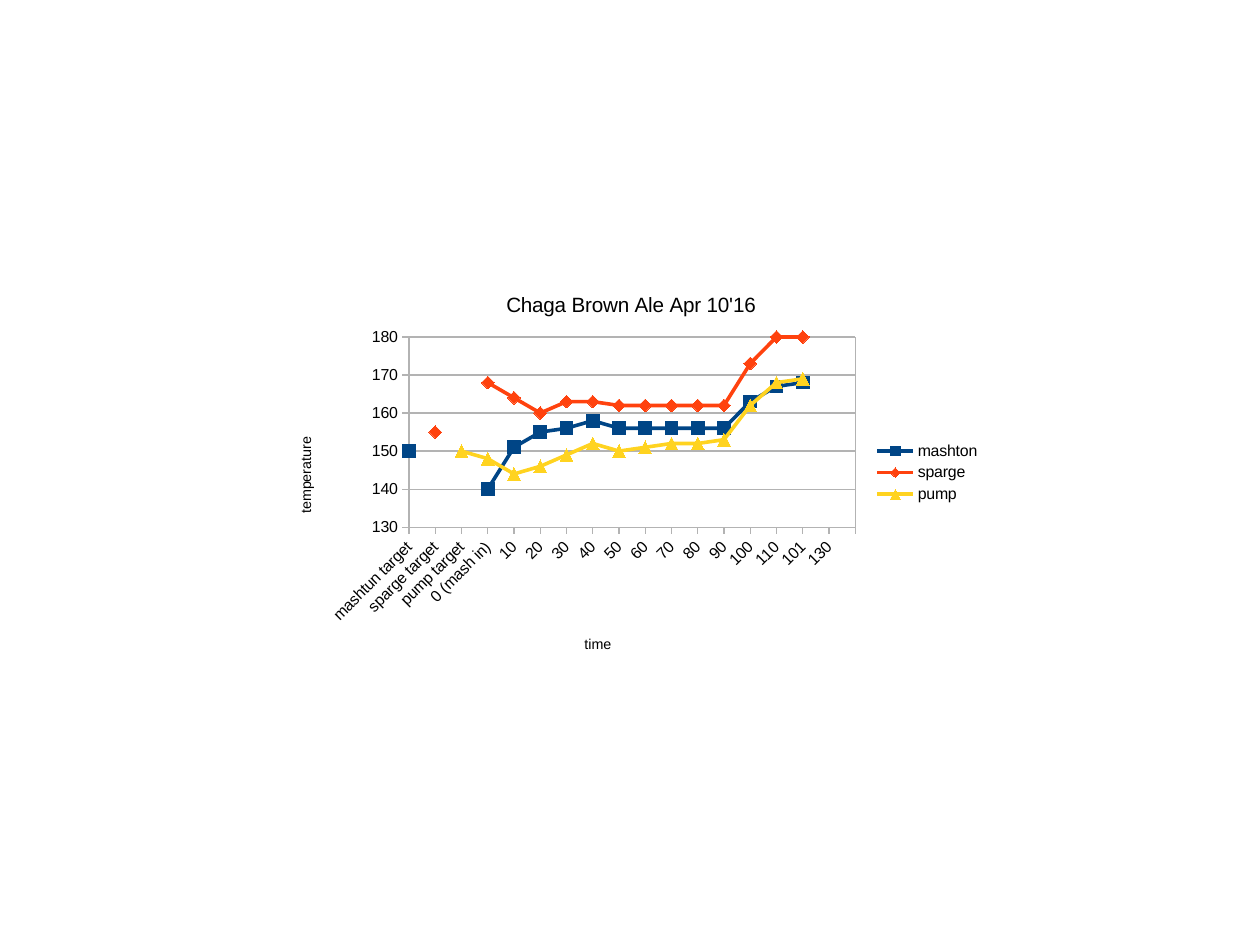
import pptx
import pptx.chart.data
import pptx.dml.color
import pptx.enum.chart
import pptx.oxml
import pptx.oxml.ns
import pptx.util

Pt = pptx.util.Pt
RGB = pptx.dml.color.RGBColor.from_string
qn = pptx.oxml.ns.qn
enums = pptx.enum.chart

THEME = {
    "font": "Arial", "text": "000000", "grid": "B3B3B3",
    "title": 13, "axis_title": 9, "label": 10, "line": 2.27, "marker": 8,
}


def style_font(font, size):
    formats = {"name": THEME["font"], "size": Pt(size), "bold": False}
    for key, value in formats.items():
        setattr(font, key, value)
    font.color.rgb = RGB(THEME["text"])


def place(part, index, target, **fractions):
    """Fix a chart part at fractions of the chart's width and height."""
    for old in part.findall(qn("c:layout")):
        part.remove(old)
    kind = f'<c:layoutTarget val="{target}"/>' if target else ""
    modes = '<c:xMode val="edge"/><c:yMode val="edge"/>'
    sizes = "".join(f'<c:{k} val="{v}"/>' for k, v in fractions.items())
    part.insert(index, pptx.oxml.parse_xml(
        f'<c:layout {pptx.oxml.ns.nsdecls("c")}><c:manualLayout>'
        f"{kind}{modes}{sizes}</c:manualLayout></c:layout>"))


# Page
deck = pptx.Presentation()
deck.slide_width = Pt(793.7)
deck.slide_height = Pt(595.28)
page = deck.slides.add_slide(deck.slide_layouts[6])

# Temperature readings
times = ["mashtun target", "sparge target", "pump target", "0 (mash in)"]
times += [str(minute) for minute in range(10, 111, 10)] + ["101", "130", ""]
readings = {
    "mashton": [150, None, None, 140, 151, 155, 156, 158, 156, 156, 156,
                156, 156, 163, 167, 168, None, None],
    "sparge": [None, 155, None, 168, 164, 160, 163, 163, 162, 162, 162,
               162, 162, 173, 180, 180, None, None],
    "pump": [None, None, 150, 148, 144, 146, 149, 152, 150, 151, 152,
             152, 153, 162, 168, 169, None, None],
}
series_looks = {
    "mashton": ("004586", enums.XL_MARKER_STYLE.SQUARE),
    "sparge": ("FF420E", enums.XL_MARKER_STYLE.DIAMOND),
    "pump": ("FFD320", enums.XL_MARKER_STYLE.TRIANGLE),
}
data = pptx.chart.data.CategoryChartData()
data.categories = times
for name, values in readings.items():
    data.add_series(name, values)

# Chart and title
chart = page.shapes.add_chart(
    enums.XL_CHART_TYPE.LINE_MARKERS,
    Pt(171.5), Pt(171.5), Pt(453.5), Pt(255), data).chart
style_font(chart.font, THEME["label"])
chart.has_title = True
chart.chart_title.include_in_layout = False
titles = [(chart.chart_title, "Chaga Brown Ale Apr 10'16", THEME["title"], 0.32, 0.04)]

# Axes
time_axis, heat_axis = chart.category_axis, chart.value_axis
for axis in (time_axis, heat_axis):
    axis.has_title = True
    axis.major_tick_mark = enums.XL_TICK_MARK.OUTSIDE
    axis.minor_tick_mark = enums.XL_TICK_MARK.NONE
    style_font(axis.tick_labels.font, THEME["label"])
formats = {"minimum_scale": 130, "maximum_scale": 180, "major_unit": 10,
           "has_major_gridlines": True}
for key, value in formats.items():
    setattr(heat_axis, key, value)
titles += [(time_axis.axis_title, "time", THEME["axis_title"], 0.43, 0.89),
           (heat_axis.axis_title, "temperature", THEME["axis_title"], 0.03, 0.4)]
for line in (time_axis.format.line, heat_axis.format.line,
             heat_axis.major_gridlines.format.line):
    line.color.rgb = RGB(THEME["grid"])
    line.width = Pt(0)

# Title texts and their places
for title, text, size, x, y in titles:
    title.text_frame.text = text
    style_font(title.text_frame.paragraphs[0].runs[0].font, size)
    place(title.element, 1, None, x=x, y=y)

# Slanted time labels, upright temperature title
for query, angle in (("//c:catAx/c:txPr/a:bodyPr", -45),
                     ("//c:valAx/c:title//a:bodyPr", -90)):
    chart.element.xpath(query)[0].set("rot", str(angle * 60000))

# Points sit on the tick marks
value_axis = chart.element.xpath("//c:valAx")[0]
for old in value_axis.findall(qn("c:crossBetween")):
    value_axis.remove(old)
value_axis.find(qn("c:crosses")).addnext(pptx.oxml.parse_xml(
    f'<c:crossBetween {pptx.oxml.ns.nsdecls("c")} val="midCat"/>'))

# Series
for series in chart.plots[0].series:
    color, marker_style = series_looks[series.name]
    series.smooth = False
    series.format.line.color.rgb = RGB(color)
    series.format.line.width = Pt(THEME["line"])
    series.marker.style = marker_style
    series.marker.size = THEME["marker"]
    series.marker.format.fill.solid()
    series.marker.format.fill.fore_color.rgb = RGB(color)
    series.marker.format.line.color.rgb = RGB(color)

# Legend
chart.has_legend = True
chart.legend.position = enums.XL_LEGEND_POSITION.RIGHT
chart.legend.include_in_layout = False
style_font(chart.legend.font, THEME["label"])
place(chart.element.xpath("//c:legend")[0], 1, None, x=0.84, y=0.41, w=0.14, h=0.17)

# Plot area with a thin frame
plot_area = chart.element.xpath("//c:plotArea")[0]
place(plot_area, 0, "inner", x=0.19, y=0.16, w=0.62, h=0.47)
plot_area.append(pptx.oxml.parse_xml(
    f'<c:spPr {pptx.oxml.ns.nsdecls("c", "a")}><a:noFill/><a:ln w="0"><a:solidFill>'
    f'<a:srgbClr val="{THEME["grid"]}"/></a:solidFill></a:ln></c:spPr>'))

deck.save("out.pptx")
